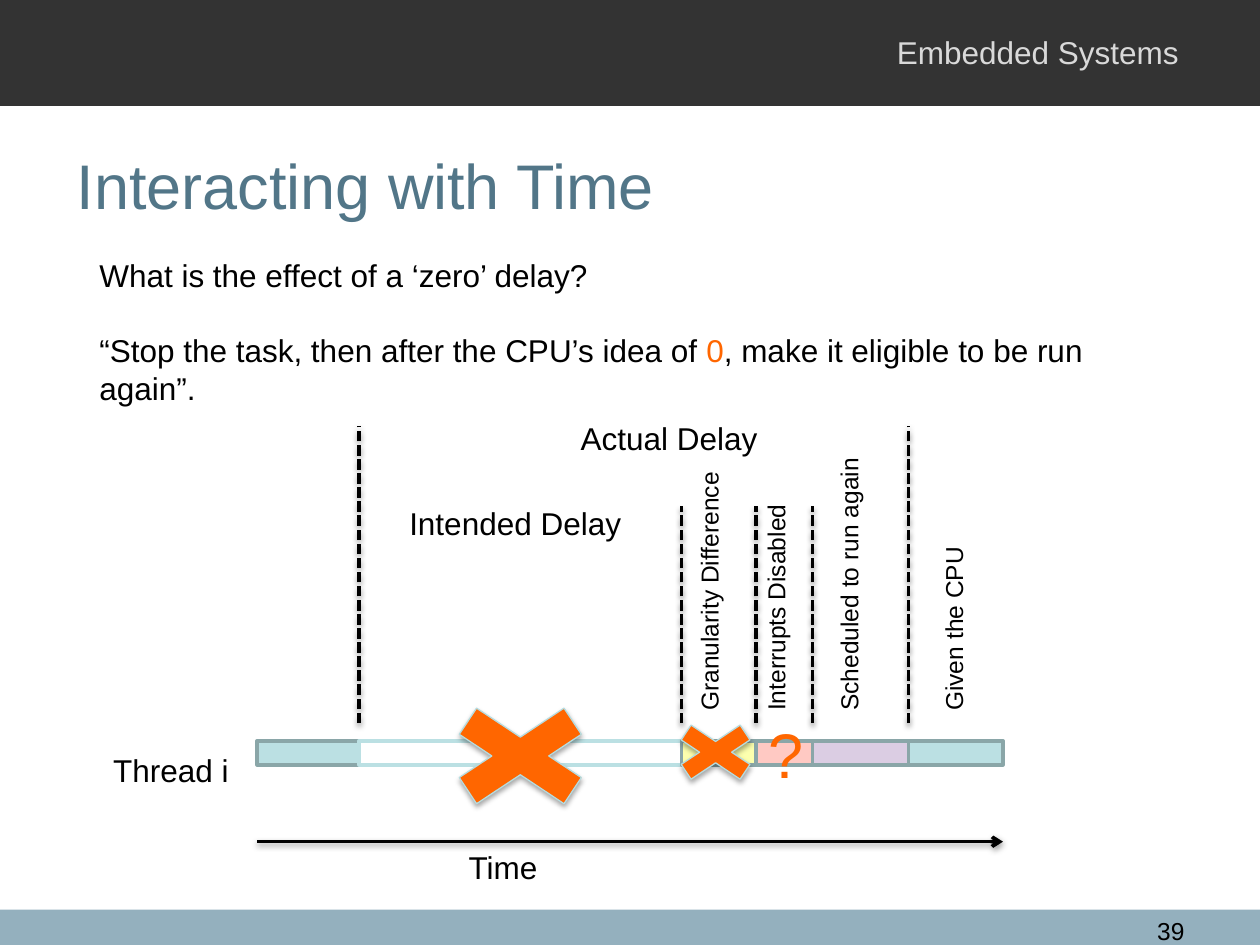
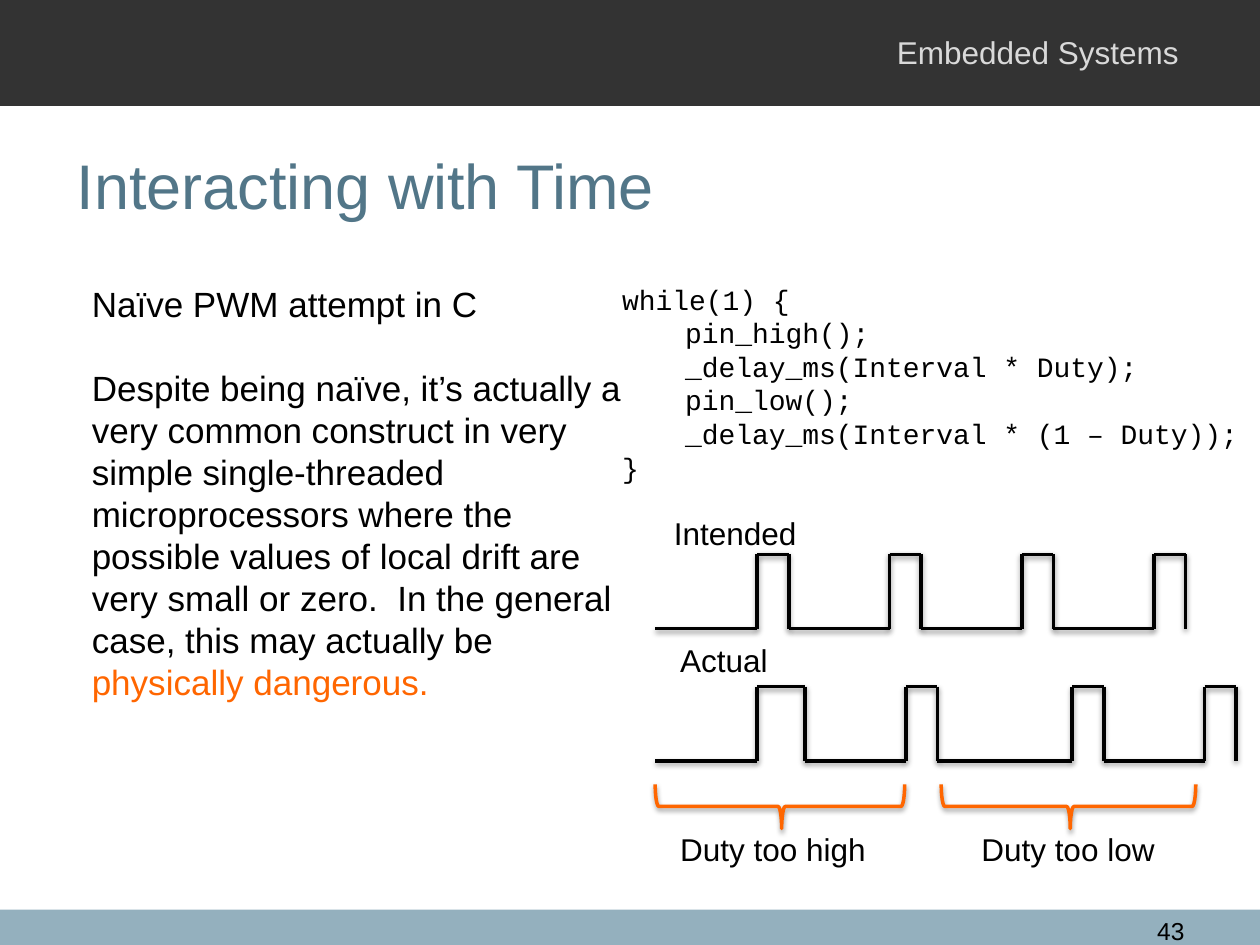
from dataclasses import dataclass
from itertools import pairwise

from lxml.etree import SubElement
from pptx import Presentation
from pptx.dml.color import RGBColor
from pptx.enum.dml import MSO_LINE
from pptx.enum.shapes import MSO_CONNECTOR, MSO_SHAPE as SHAPE
from pptx.enum.text import MSO_ANCHOR as ANCHOR, MSO_AUTO_SIZE as AUTO, PP_ALIGN as ALIGN
from pptx.oxml.ns import qn
from pptx.util import Inches, Pt


@dataclass(frozen=True)
class Theme:
    sans: str = "Arial"
    mono: str = "Courier New"
    title: int = 36
    body: int = 20
    label: int = 18
    code: int = 16
    small: int = 14
    leading: float = 1.2
    ink: str = "000000"
    white: str = "FFFFFF"
    header: str = "333333"
    header_text: str = "D9D9D9"
    footer: str = "94B0BE"
    heading: str = "527688"
    accent: str = "FF6600"
    aqua: str = "BBE0E3"
    aqua_edge: str = "8AA6A8"
    cross_edge: str = "B6DCDF"
    yellow: str = "FFFFAE".replace("FFFF", "FCFF")
    pink: str = "FFC9C3"
    purple: str = "DBCDE3"


T = Theme()

COURSE = "Embedded Systems"
HEADING = "Interacting with Time"

ZERO_DELAY = [
    ["What is the effect of a ‘zero’ delay?"],
    ["“Stop the task, then after the CPU’s idea of ", ("0", T.accent),
     ", make it eligible to be run again”."],
]
PHASES = [
    (2.04, T.aqua, T.aqua_edge),
    (2.85, T.white, T.aqua),
    (5.41, T.yellow, T.aqua_edge),
    (6.00, T.pink, T.aqua_edge),
    (6.45, T.purple, T.aqua_edge),
    (7.21, T.aqua, T.aqua_edge),
]
TIMELINE_END = 7.96
DELAY_MARKS = [(2.85, 3.38), (5.41, 4.02), (6, 4.02), (6.45, 4.02), (7.21, 3.38)]
DELAY_LABELS = [
    ("Time", 3.62, 6.68, 0.75),
    ("Intended Delay", 3.15, 3.95, 1.9),
    ("Thread i", 0.8, 5.91, 1.13),
    ("Actual Delay", 4.51, 3.28, 1.63),
]
PHASE_LABELS = [
    ("Granularity Difference", 5.46, 2.01),
    ("Interrupts Disabled", 5.99, 1.75),
    ("Scheduled to run again", 6.57, 2.12),
    ("Given the CPU", 7.4, 1.41),
]
LABEL_BASE = 5.74
CROSSES = [(3.33, 5.47, 1.6, 1.06), (5.23, 5.67, 0.9, 0.6)]

PWM_NOTES = [
    ["Naïve PWM attempt in C"],
    ["Despite being naïve, it’s actually a very common construct in very simple "
     "single-threaded microprocessors where the possible values of local drift are "
     "very small or zero.  In the general case, this may actually be ",
     ("physically dangerous.", T.accent)],
]
PWM_CODE = [
    (0, "while(1) {"),
    (0.5, "pin_high();"),
    (0.5, "_delay_ms(Interval * Duty);"),
    (0.5, "pin_low();"),
    (0.5, "_delay_ms(Interval * (1 – Duty));"),
    (0, "}"),
]
WAVE_START, WAVE_HEIGHT = 5.2, 0.59
WAVES = [
    (4.99, [(6.01 + 1.05 * i, 6.26 + 1.05 * i) for i in range(4)]),
    (6.04, [(6.01, 6.39), (7.19, 7.44), (8.51, 8.76), (9.56, 9.81)]),
]
BRACES = [(5.2, 7.18), (7.47, 9.49)]
BRACE_MIDDLE, BRACE_DEPTH = 6.4, 0.35
PWM_LABELS = [
    ("Duty too high", 5.3, 6.54, 1.69),
    ("Duty too low", 7.69, 6.54, 1.6),
    ("Intended", 5.25, 4.03, 1.18),
    ("Actual", 5.3, 5.04, 0.92),
]


def rgb(value):
    return RGBColor.from_string(value)


def add_shadow(item, opacity=38, distance=1.6):
    properties = item.element.spPr
    effects = properties.find(qn("a:effectLst"))
    if effects is None:
        effects = SubElement(properties, qn("a:effectLst"))
    outer = SubElement(effects, qn("a:outerShdw"), blurRad=str(Pt(3.1)),
                       dist=str(Pt(distance)), dir="5400000", rotWithShape="0")
    tint = SubElement(outer, qn("a:srgbClr"), val=T.ink)
    SubElement(tint, qn("a:alpha"), val=str(opacity * 1000))


def write(frame, paragraphs, size, color=T.ink, font=T.sans, align=ALIGN.LEFT, gap=0):
    for index, pieces in enumerate(paragraphs):
        paragraph = frame.add_paragraph() if index else frame.paragraphs[0]
        paragraph.alignment = align
        paragraph.line_spacing = Pt(size * T.leading)
        if index and gap:
            paragraph.space_before = Pt(gap)
        for piece in pieces:
            words, tint = piece if isinstance(piece, tuple) else (piece, color)
            run = paragraph.add_run()
            run.text = words
            run.font.name, run.font.size = font, Pt(size)
            run.font.color.rgb = rgb(tint)


def add_text(slide, at, paragraphs, size, wrap=True, grow=True, anchor=ANCHOR.TOP, **style):
    box = slide.shapes.add_textbox(*map(Inches, at))
    frame = box.text_frame
    frame.word_wrap = wrap
    frame.auto_size = AUTO.SHAPE_TO_FIT_TEXT if grow else AUTO.NONE
    frame.vertical_anchor = anchor
    write(frame, paragraphs, size, **style)
    return box


def add_labels(slide, labels):
    for words, left, top, width in labels:
        add_text(slide, (left, top, width, 0.4), [[words]], T.label, wrap=False)


def add_shape(slide, kind, at, fill=None, edge=None, weight=2):
    shape = slide.shapes.add_shape(kind, *map(Inches, at))
    shape.shadow.inherit = False
    if fill:
        shape.fill.solid()
        shape.fill.fore_color.rgb = rgb(fill)
    else:
        shape.fill.background()
    if edge:
        shape.line.color.rgb = rgb(edge)
        shape.line.width = Pt(weight)
    else:
        shape.line.fill.background()
    return shape


def add_line(slide, start, end, dashed=False, arrow=False):
    line = slide.shapes.add_connector(MSO_CONNECTOR.STRAIGHT, *map(Inches, (*start, *end)))
    line.line.color.rgb = rgb(T.ink)
    line.line.width = Pt(2)
    if dashed:
        line.line.dash_style = MSO_LINE.SQUARE_DOT
    if arrow:
        SubElement(line.element.spPr.find(qn("a:ln")), qn("a:tailEnd"), type="arrow")
    add_shadow(line)


def add_slide(deck, number):
    slide = deck.slides.add_slide(deck.slide_layouts[6])
    add_shape(slide, SHAPE.RECTANGLE, (0, 7.22, 10, 0.28), T.footer)
    add_shape(slide, SHAPE.RECTANGLE, (0, 0, 10, 0.84), T.header)
    add_text(slide, (7.02, 0.21, 2.5, 0.4), [[COURSE]], T.label, color=T.header_text)
    add_text(slide, (0.51, 0.84, 9, 1.25), [[HEADING]], T.title, grow=False,
             anchor=ANCHOR.MIDDLE, color=T.heading)
    add_text(slide, (8.86, 7.22, 0.64, 0.24), [[str(number)]], T.small, grow=False,
             align=ALIGN.RIGHT)
    return slide


def build_zero_delay(deck):
    slide = add_slide(deck, 39)
    add_text(slide, (0.69, 1.98, 8.33, 1.31), ZERO_DELAY, T.label, gap=T.label * T.leading)
    ends = [phase[0] for phase in PHASES[1:]] + [TIMELINE_END]
    for (left, fill, edge), right in zip(PHASES, ends):
        segment = add_shape(slide, SHAPE.RECTANGLE, (left, 5.88, right - left, 0.19), fill, edge)
        if fill == T.pink:
            segment.text_frame.vertical_anchor = ANCHOR.MIDDLE
            write(segment.text_frame, [["?"]], T.title, color=T.accent, align=ALIGN.CENTER)
    add_line(slide, (PHASES[0][0], 6.68), (TIMELINE_END, 6.68), arrow=True)
    for x, top in DELAY_MARKS:
        add_line(slide, (x, LABEL_BASE), (x, top), dashed=True)
    add_labels(slide, DELAY_LABELS)
    for words, left, length in PHASE_LABELS:
        label = add_text(slide, (left, LABEL_BASE - length, 0.44, length), [[words]],
                         T.small, wrap=False)
        label.element.txBody.bodyPr.set("vert", "vert270")
    for at in CROSSES:
        cross = add_shape(slide, SHAPE.MATH_MULTIPLY, at, T.accent, T.cross_edge, 0.75)
        add_shadow(cross, 35, 1.8)


def build_pwm(deck):
    slide = add_slide(deck, 43)
    add_text(slide, (0.63, 2.19, 4.49, 3.47), PWM_NOTES, T.body, gap=T.body * T.leading)
    listing = add_text(slide, (4.84, 2.19, 5.16, 1.72), [[code] for _, code in PWM_CODE],
                       T.code, font=T.mono)
    for (indent, _), paragraph in zip(PWM_CODE, listing.text_frame.paragraphs):
        paragraph.alignment = ALIGN.LEFT
        listing_properties = paragraph._p.get_or_add_pPr()
        listing_properties.set("marL", str(Inches(indent)))
        listing_properties.set("indent", "0")
    for low, pulses in WAVES:
        high = low - WAVE_HEIGHT
        points = [(WAVE_START, low)]
        for rise, fall in pulses:
            points += [(rise, low), (rise, high), (fall, high), (fall, low)]
        for start, end in pairwise(points):
            add_line(slide, start, end)
    for left, right in BRACES:
        span = right - left
        at = ((left + right - BRACE_DEPTH) / 2, BRACE_MIDDLE - span / 2, BRACE_DEPTH, span)
        brace = add_shape(slide, SHAPE.LEFT_BRACE, at, edge=T.accent)
        brace.rotation = 270
        brace.adjustments[0], brace.adjustments[1] = 0.083, 0.507
        add_shadow(brace)
    add_labels(slide, PWM_LABELS)


deck = Presentation()
deck.slide_width, deck.slide_height = Inches(10), Inches(7.5)
build_zero_delay(deck)
build_pwm(deck)
deck.save("out.pptx")
